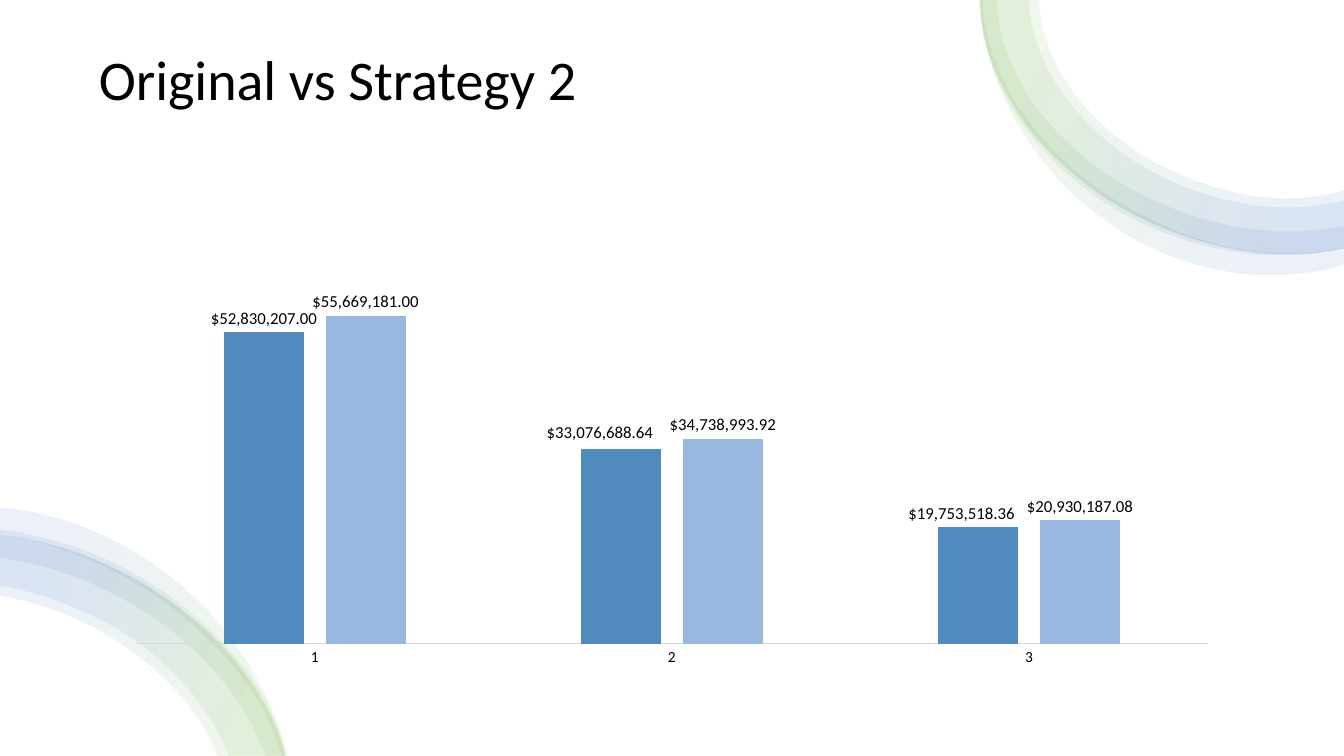
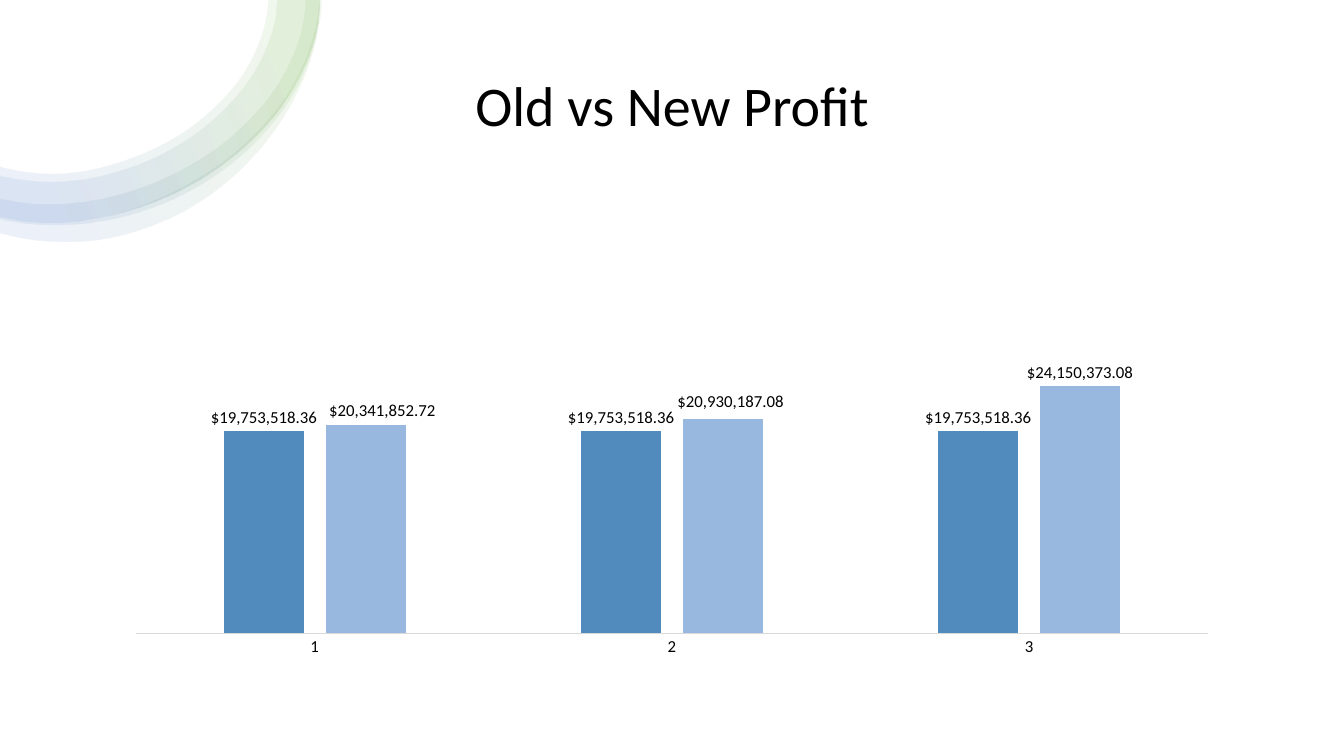
from math import dist

from pptx import Presentation
from pptx.chart.data import CategoryChartData
from pptx.dml.color import RGBColor
from pptx.enum.chart import XL_CHART_TYPE, XL_LABEL_POSITION, XL_TICK_MARK
from pptx.enum.shapes import MSO_SHAPE
from pptx.enum.text import MSO_ANCHOR, PP_ALIGN
from pptx.oxml import parse_xml
from pptx.oxml.ns import nsdecls, qn
from pptx.util import Inches, Pt

# Lengths count columns and rows of a grid with one-inch cells.
COLS, ROWS = 13.33, 7.5
FONT = "Calibri"
MONEY = '"$"#,##0.00'
INK = {
    "text": "000000",
    "old": "518ABD",
    "new": "98B8E0",
    "axis": "D9D9D9",
    "white": "FFFFFF",
    "green": "70AD47",
    "blue": "4472C4",
}
STOPS = ((16, "green"), (85, "blue"))

# Each ring of a swirl is an outer and an inner edge, both from the same end.
TOP_EDGE = [(9.73, 0), (9.74, .2), (10.09, 1.1), (10.8, 1.84),
            (11.74, 2.33), (12.79, 2.51), (13.33, 2.45)]
TOP = [
    (TOP_EDGE,
     [(10.31, 0), (10.32, .12), (10.5, .68), (11.06, 1.34),
      (11.87, 1.79), (12.79, 1.96), (13.33, 1.88)]),
    (TOP_EDGE,
     [(10.21, 0), (10.22, .14), (10.42, .73), (11, 1.41),
      (11.84, 1.88), (12.79, 2.05), (13.33, 1.98)]),
    ([(9.73, 0), (9.78, .43), (9.94, .89), (10.54, 1.68),
      (11.39, 2.24), (12.39, 2.51), (12.91, 2.52), (13.33, 2.46)],
     [(9.89, 0), (9.95, .39), (10.12, .81), (10.71, 1.52),
      (11.5, 2.01), (12.42, 2.27), (12.89, 2.29), (13.33, 2.23)]),
    ([(9.71, 0), (9.72, .13), (9.91, .87), (10.46, 1.74),
      (11.31, 2.4), (12.36, 2.71), (12.92, 2.7), (13.33, 2.62)],
     [(9.74, 0), (9.75, .13), (9.97, .84), (10.59, 1.63),
      (11.43, 2.18), (12.39, 2.48), (12.9, 2.5), (13.33, 2.45)]),
]
LOW_EDGE = [(0, 5.3), (.96, 5.56), (1.73, 6), (2.35, 6.59),
            (2.76, 7.3), (2.82, 7.5)]
LOW = [
    ([(0, 5.04), (.29, 5.08), (1.15, 5.38), (2.1, 6.11),
      (2.71, 7.08), (2.85, 7.5)],
     [(0, 5.3), (.5, 5.42), (1.02, 5.62), (1.95, 6.24),
      (2.64, 7.11), (2.79, 7.5)]),
    (LOW_EDGE,
     [(0, 5.91), (.53, 6.05), (1.43, 6.56), (2.05, 7.28), (2.15, 7.5)]),
    ([(0, 5.26), (.24, 5.3), (1.06, 5.56), (2, 6.18),
      (2.68, 7.05), (2.83, 7.5)],
     [(0, 5.54), (.44, 5.63), (.94, 5.81), (1.82, 6.36),
      (2.47, 7.15), (2.63, 7.5)]),
    (LOW_EDGE,
     [(0, 5.81), (.56, 5.96), (1.5, 6.48), (2.14, 7.24), (2.26, 7.5)]),
]


def mirror(rings, scale):
    """Flip rings from the right edge to the left edge and resize them."""
    return [[[((COLS - x) * scale, y * scale) for x, y in edge]
             for edge in ring] for ring in rings]


def bend(nodes):
    """Return Bezier triples (two handles, end) for a curve through nodes."""
    gaps = [dist(a, b) for a, b in zip(nodes, nodes[1:])]
    slopes = [[(q - p) / gap for p, q in zip(a, b)]
              for a, b, gap in zip(nodes, nodes[1:], gaps)]
    turns = [[(p * h + q * g) / (g + h) for p, q in zip(a, b)]
             for a, b, g, h in zip(slopes, slopes[1:], gaps, gaps[1:])]
    first = [2 * p - q for p, q in zip(slopes[0], turns[0])]
    last = [2 * p - q for p, q in zip(slopes[-1], turns[-1])]
    turns = [first, *turns, last]
    return [([p + m * gap / 3 for p, m in zip(a, u)],
             [p - m * gap / 3 for p, m in zip(b, v)], b)
            for a, b, u, v, gap in
            zip(nodes, nodes[1:], turns, turns[1:], gaps)]


def hue(name):
    return RGBColor.from_string(INK[name])


class Deck:
    """Holds the style and the current slide."""

    def __init__(self):
        self.file = Presentation()
        self.file.slide_width = Inches(COLS)
        self.file.slide_height = Inches(ROWS)
        self.slide = None

    def style(self, font, size):
        font.name, font.size = FONT, Pt(size)
        font.color.rgb = hue("text")

    def page(self):
        """Start a slide with a white sheet behind its title."""
        self.slide = self.file.slides.add_slide(self.file.slide_layouts[5])
        shapes = self.slide.shapes
        sheet = shapes.add_shape(MSO_SHAPE.RECTANGLE, 0, 0,
                                 Inches(COLS), Inches(ROWS))
        sheet.shadow.inherit = False
        sheet.fill.solid()
        sheet.fill.fore_color.rgb = hue("white")
        sheet.line.fill.background()
        shapes.title.element.addprevious(sheet.element)

    def title(self, text, box, align):
        shape = self.slide.shapes.title
        shape.left, shape.top, shape.width, shape.height = map(Inches, box)
        frame = shape.text_frame
        frame.text = text
        frame.word_wrap = True
        frame.vertical_anchor = MSO_ANCHOR.MIDDLE
        para = frame.paragraphs[0]
        para.alignment, para.line_spacing = align, .9
        self.style(para.font, 40)

    def swirl(self, rings, angle):
        for outer, inner in rings:
            back = inner[::-1]
            points = [(Inches(x), Inches(y)) for x, y in outer + back]
            pen = self.slide.shapes.build_freeform(*points[0], scale=1.0)
            pen.add_line_segments(points[1:], close=True)
            shape = pen.convert_to_shape()
            shape.shadow.inherit = False
            shape.line.fill.background()
            self.curve(shape, bend(outer), bend(back))
            self.shade(shape, angle)

    def curve(self, shape, outer, back):
        """Turn the straight sides along both edges into curves."""
        lines = shape.element.xpath(".//a:lnTo")
        sides = lines[:len(outer)] + lines[len(outer) + 1:]
        for side, spots in zip(sides, outer + back):
            dots = "".join(
                f'<a:pt x="{Inches(x) - shape.left}"'
                f' y="{Inches(y) - shape.top}"/>' for x, y in spots)
            side.getparent().replace(side, parse_xml(
                f'<a:cubicBezTo {nsdecls("a")}>{dots}</a:cubicBezTo>'))

    def shade(self, shape, angle):
        """Fill with the pale gradient; angle runs clockwise."""
        stops = "".join(
            f'<a:gs pos="{at * 1000}"><a:srgbClr val="{INK[name]}">'
            '<a:alpha val="10000"/></a:srgbClr></a:gs>' for at, name in STOPS)
        shape.fill.background()
        props = shape.element.spPr
        props.replace(props.find(qn("a:noFill")), parse_xml(
            f'<a:gradFill {nsdecls("a")} rotWithShape="1">'
            f'<a:gsLst>{stops}</a:gsLst>'
            f'<a:lin ang="{angle * 60000}" scaled="0"/></a:gradFill>'))

    def chart(self, box, old, new, top, depth, size, shifts):
        """Draw paired columns; shifts maps (series, point) to label moves."""
        data = CategoryChartData(number_format=MONEY)
        data.categories = ["1", "2", "3"]
        data.add_series("Series 1", old)
        data.add_series("Series 2", new)
        chart = self.slide.shapes.add_chart(
            XL_CHART_TYPE.COLUMN_CLUSTERED, *map(Inches, box), data).chart
        chart.has_legend = chart.has_title = False
        self.style(chart.font, 10)
        self.axes(chart, top, size)
        plot = chart.plots[0]
        plot.gap_width, plot.overlap = 219, -27
        plot.vary_by_categories = False
        for series, name in zip(plot.series, ("old", "new")):
            series.format.fill.solid()
            series.format.fill.fore_color.rgb = hue(name)
            labels = series.data_labels
            labels.show_value = True
            labels.position = XL_LABEL_POSITION.OUTSIDE_END
            labels.number_format = MONEY
            labels.number_format_is_linked = False
            self.style(labels.font, 12)
        for (row, spot), move in shifts.items():
            self.shift(chart, row, spot, move)
        self.frame(chart, depth)

    def axes(self, chart, top, size):
        cat, val = chart.category_axis, chart.value_axis
        cat.major_tick_mark = cat.minor_tick_mark = XL_TICK_MARK.NONE
        cat.format.line.color.rgb = hue("axis")
        cat.format.line.width = Pt(.75)
        self.style(cat.tick_labels.font, size)
        val.minimum_scale, val.maximum_scale = 0, top
        val.has_major_gridlines = False
        val.visible = False

    def shift(self, chart, row, spot, move):
        """Move one value label by percents of the chart's size."""
        label = chart.plots[0].series[row].points[spot].data_label
        self.style(label.font, 12)
        label.position = XL_LABEL_POSITION.OUTSIDE_END
        index = chart.element.xpath(
            f"(.//c:ser)[{row + 1}]//c:dLbl/c:idx[@val='{spot}']")[0]
        form = parse_xml(f'<c:numFmt {nsdecls("c")} sourceLinked="0"/>')
        form.set("formatCode", MONEY)
        index.addnext(form)
        x, y = move
        index.addnext(parse_xml(
            f'<c:layout {nsdecls("c")}><c:manualLayout>'
            f'<c:x val="{x / 100:.3f}"/><c:y val="{y / 100:.3f}"/>'
            '</c:manualLayout></c:layout>'))

    def frame(self, chart, depth):
        """Fix the plot's place and let the slide show through."""
        area = chart.element.xpath(".//c:plotArea")[0]
        for old in area.findall(qn("c:layout")):
            area.remove(old)
        sizes = "".join(f'<c:{key} val="{val}"/>' for key, val in
                        zip("xywh", (.02, .02, .96, depth)))
        area.insert(0, parse_xml(
            f'<c:layout {nsdecls("c")}><c:manualLayout>'
            '<c:layoutTarget val="inner"/>'
            '<c:xMode val="edge"/><c:yMode val="edge"/>'
            f'{sizes}</c:manualLayout></c:layout>'))
        chart.element.find(qn("c:chart")).addnext(parse_xml(
            f'<c:spPr {nsdecls("c", "a")}><a:noFill/>'
            '<a:ln><a:noFill/></a:ln></c:spPr>'))


def main():
    deck = Deck()
    base = 19753518.36

    deck.page()
    deck.title("Original vs Strategy 2\v", (.88, .5, 11.57, 1.3),
               PP_ALIGN.LEFT)
    deck.swirl(TOP, 20)
    deck.swirl(LOW, 200)
    deck.chart((1.13, 2.8, 11.07, 3.9),
               (52830207, 33076688.64, base),
               (55669181, 34738993.92, 20930187.08),
               top=60e6, depth=.9, size=11,
               shifts={(0, 1): (-1.9, -.6), (0, 2): (-1.5, 0)})

    deck.page()
    deck.title("Old vs New Profit", (1.29, .35, 10.75, 1.45),
               PP_ALIGN.CENTER)
    deck.swirl(mirror(TOP, .88), 160)
    deck.chart((1.13, 3.17, 11.07, 3.42),
               (base,) * 3,
               (20341852.72, 20930187.08, 24150373.08),
               top=30e6, depth=.89, size=12,
               shifts={(1, 0): (1.5, 0), (1, 1): (.75, -1)})

    deck.file.save("out.pptx")


if __name__ == "__main__":
    main()
